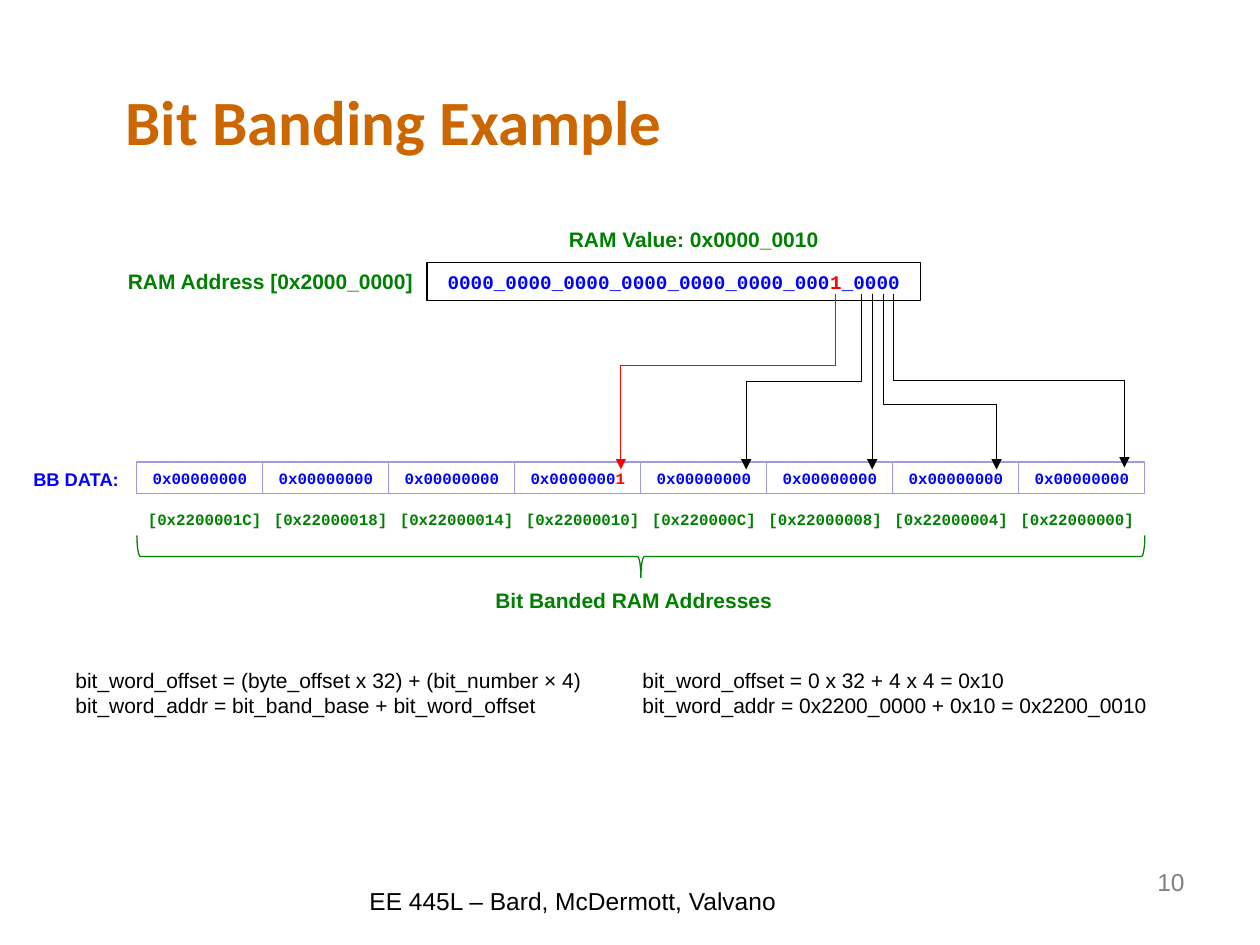
import pptx
import pptx.util
import pptx.dml.color
import pptx.enum.shapes
import pptx.enum.text
import lxml.etree
from dataclasses import dataclass

Pt = pptx.util.Pt
Shape = pptx.enum.shapes.MSO_SHAPE
Align = pptx.enum.text.PP_ALIGN
Anchor = pptx.enum.text.MSO_ANCHOR
Fit = pptx.enum.text.MSO_AUTO_SIZE
NS = "http://schemas.openxmlformats.org/drawingml/2006/main"


@dataclass(frozen=True)
class Theme:
    orange: str = "CC6600"
    green: str = "008000"
    blue: str = "0000FF"
    red: str = "FF0000"
    black: str = "000000"
    gray: str = "808080"
    pale: str = "9C9CDF"
    head: float = 36
    foot: float = 14
    body: float = 12
    bits: float = 11
    label: float = 10.5
    code: float = 9
    sans: str = "Arial"
    mono: str = "Courier New"
    title: str = "Calibri"


THEME = Theme()


def rgb(color):
    return pptx.dml.color.RGBColor.from_string(color)


def child(parent, tag, **attrs):
    return lxml.etree.SubElement(parent, f"{{{NS}}}{tag}", attrs)


def write(frame, *lines, size=THEME.body, font=THEME.sans, color=THEME.black,
          bold=False, align=Align.LEFT, space=0):
    """Fill a frame; a line is a string or a list of (text, color) runs."""
    for i, line in enumerate(lines):
        para = frame.paragraphs[0] if i == 0 else frame.add_paragraph()
        para.alignment = align
        para.space_before = Pt(space)
        for words, tint in [(line, color)] if isinstance(line, str) else line:
            run = para.add_run()
            run.text = words
            run.font.size = Pt(size)
            run.font.name = font
            run.font.bold = bold
            run.font.color.rgb = rgb(tint)


class Page:
    def __init__(self, deck, theme):
        self.theme = theme
        self.slide = deck.slides.add_slide(deck.slide_layouts[5])
        self.shapes = self.slide.shapes

    def title(self, words, x, y, w, h):
        box = self.shapes.title
        box.left, box.top, box.width, box.height = map(Pt, (x, y, w, h))
        box.text_frame.vertical_anchor = Anchor.MIDDLE
        write(box.text_frame, words, size=self.theme.head, font=self.theme.title,
              color=self.theme.orange, bold=True, align=Align.CENTER)

    def text(self, x, y, w, h, *lines, wrap=True, grow=False, **style):
        frame = self.shapes.add_textbox(*map(Pt, (x, y, w, h))).text_frame
        frame.word_wrap = wrap
        frame.auto_size = Fit.SHAPE_TO_FIT_TEXT if grow else Fit.NONE
        write(frame, *lines, **style)

    def label(self, x, y, w, h, words, **style):
        self.text(x, y, w, h, words, wrap=False, grow=True, bold=True, **style)

    def shape(self, kind, x, y, w, h, color):
        item = self.shapes.add_shape(kind, *map(Pt, (x, y, w, h)))
        item.shadow.inherit = False
        item.fill.background()
        item.line.color.rgb = rgb(color)
        item.line.width = Pt(0.75)
        return item

    def cell(self, x, y, w, h, line, color, size):
        item = self.shape(Shape.RECTANGLE, x, y, w, h, color)
        write(item.text_frame, line, size=size, font=self.theme.mono,
              color=self.theme.blue, bold=True, align=Align.CENTER)

    def brace(self, x, y, w, h, color):
        """Draw a brace that points down, inside the given bounds."""
        item = self.shape(Shape.RIGHT_BRACE, x + (w - h) / 2, y + (h - w) / 2,
                          h, w, color)
        item.rotation = 90

    def arrow(self, x1, y1, x2, y2, bend, color):
        """Draw an arrow that leaves downward and turns at the bend ratio."""
        kinds = pptx.enum.shapes.MSO_CONNECTOR
        straight = x1 == x2
        wide, tall = abs(x2 - x1), y2 - y1
        left, top = (x1 + x2 - tall) / 2, (y1 + y2 - wide) / 2
        if straight:
            item = self.shapes.add_connector(
                kinds.STRAIGHT, *map(Pt, (x1, y1, x2, y2)))
        else:
            item = self.shapes.add_connector(
                kinds.ELBOW, *map(Pt, (left, top, left + tall, top + wide)))
        props = item._element.spPr
        if not straight:
            # The elbow lies on its side, so turn it to run downward
            frame = props.find(f"{{{NS}}}xfrm")
            frame.set("rot", "16200000" if x2 > x1 else "5400000")
            if x2 > x1:
                frame.set("flipH", "1")
            child(props.find(f".//{{{NS}}}avLst"), "gd", name="adj1",
                  fmla=f"val {round(bend * 100000)}")
        item.line.color.rgb = rgb(color)
        item.line.width = Pt(0.5)
        child(props.find(f"{{{NS}}}ln"), "tailEnd", type="triangle")
        child(props, "effectLst")


def main():
    t = THEME
    deck = pptx.Presentation()
    deck.slide_width, deck.slide_height = Pt(720), Pt(540)
    page = Page(deck, t)
    page.title("Bit Banding Example", 18, 24, 414, 90)

    # RAM word
    page.cell(244, 150, 282, 21.6,
              [("0000_0000_0000_0000_0000_0000_000", t.blue),
               ("1", t.red), ("_0000", t.blue)], t.black, t.bits)
    page.label(66, 150, 179, 21.8, "RAM Address [0x2000_0000]", color=t.green)
    page.label(318, 126, 158, 21.8, "RAM Value: 0x0000_0010", color=t.green)

    # Bit band words and their addresses
    names = [" [0x2200001C]", " [0x22000018]", " [0x22000014]",
             " [0x22000010]", " [0x220000C]", "[0x22000008]",
             "[0x22000004]", "[0x22000000]"]
    pitch, start = 72, 78.2
    for i, name in enumerate(names):
        last = ("1", t.red) if i == 3 else ("0", t.blue)
        page.cell(start + i * pitch, 264, pitch, 18,
                  [("0x0000000", t.blue), last], t.pale, t.code)
        page.label(pitch * (i + 1), 288, 80 if i > 3 else 85.5, 18, name,
                   size=t.code, font=t.mono, color=t.green)
    page.label(12, 264, 64, 20, "BB DATA:", size=t.label, color=t.blue)
    page.brace(start, 306, pitch * len(names), 24, t.green)
    page.label(276, 332, 174, 21.8, "Bit Banded RAM Addresses", color=t.green)

    # Arrows from each bit to its word: start x, end x, end y, bend, color
    for x1, x2, y2, bend, color in [(510.5, 642.5, 267.2, 0.5, t.black),
                                    (504.7, 569.5, 268.3, 0.63, t.black),
                                    (498.4, 498.4, 268.3, 0.5, t.black),
                                    (492, 426.4, 268.3, 0.5, t.black),
                                    (477.3, 354.8, 268.3, 0.41, t.red)]:
        page.arrow(x1, 168, x2, y2, bend, color)

    # Formulas
    page.text(36, 378, 666, 36,
              "bit_word_offset = (byte_offset x 32) + (bit_number × 4)"
              "\tbit_word_offset = 0 x 32 + 4 x 4 = 0x10",
              "bit_word_addr = bit_band_base + bit_word_offset"
              "\t\tbit_word_addr = 0x2200_0000 + 0x10 = 0x2200_0010",
              grow=True)

    # Footer and page number
    page.text(204, 502.5, 312, 37.5, "EE 445L – Bard, McDermott, Valvano",
              size=t.foot, space=2.8)
    page.text(516, 492, 168, 37.5, "10", size=t.foot, color=t.gray,
              align=Align.RIGHT)
    deck.save("out.pptx")


if __name__ == "__main__":
    main()
